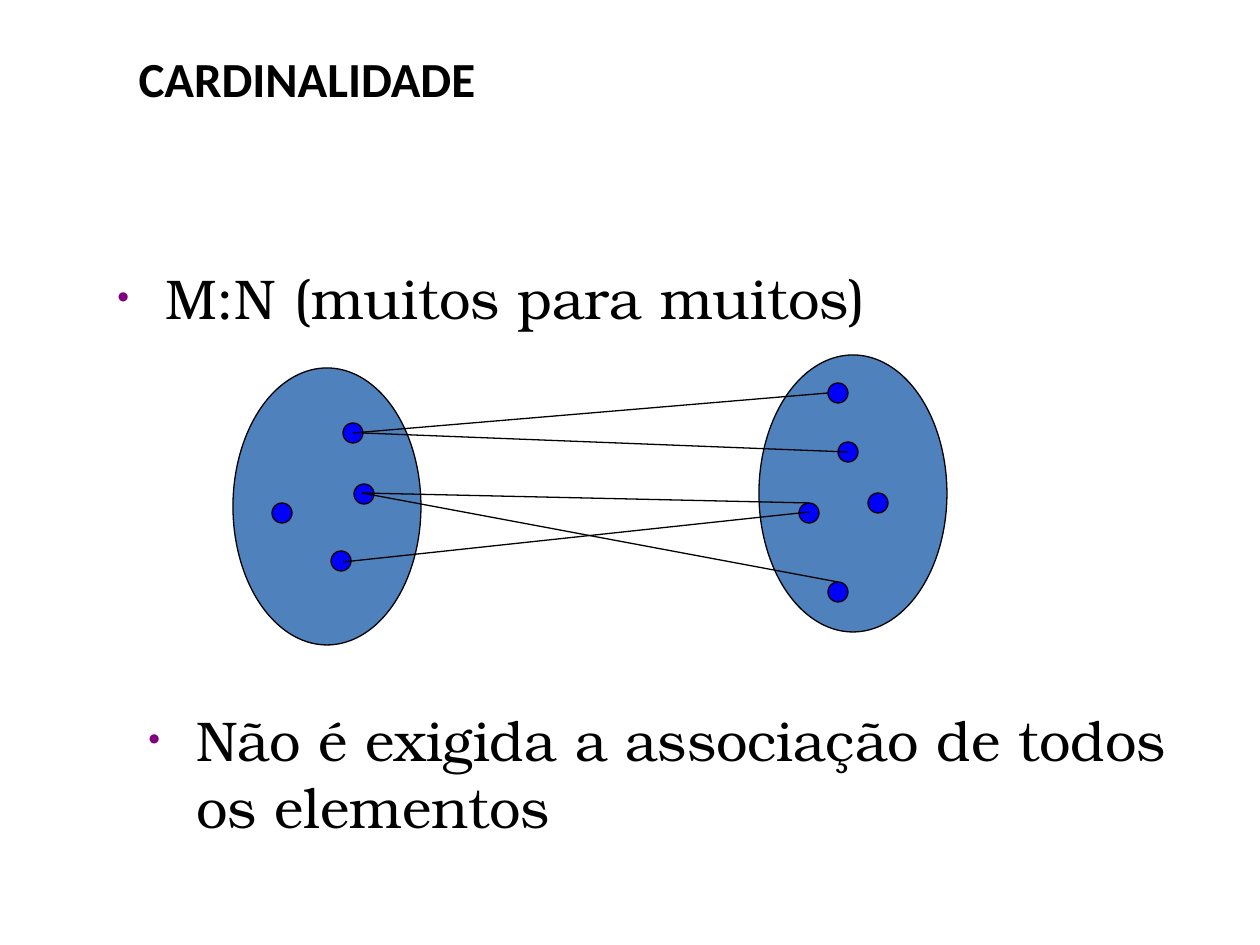
from lxml import etree
from pptx import Presentation
from pptx import util as u
from pptx.dml.color import RGBColor
from pptx.enum import shapes, text
from pptx.oxml.ns import qn

EMU_PER_PX = 914400 / 126
COLORS = {"ink": "000000", "set": "4F81BD", "element": "0000FF", "bullet": "800080"}
DOT = 20

SET_BOXES = [(233, 368, 188, 277), (759, 355, 188, 277)]
ELEMENT_CENTERS = [
    (353, 433), (364, 494), (341, 561), (282, 513),
    (848, 452), (838, 393), (809, 513), (878, 503), (838, 592),
]
ASSOCIATIONS = [
    ((353, 433), (828, 393)),
    ((343, 562), (809, 512)),
    ((362, 493), (838, 582)),
    ((362, 433), (848, 452)),
    ((809, 503), (362, 493)),
]


def px(value):
    return u.Emu(round(value * EMU_PER_PX))


def rgb(name):
    return RGBColor.from_string(COLORS[name])


def set_font(paragraph, family, size, bold=False):
    font = paragraph.font
    font.name, font.size, font.bold = family, u.Pt(size), bold
    font.color.rgb = rgb("ink")


def add_title(slide, wording, left, top, width, height):
    title = slide.shapes.title
    title.left, title.top, title.width, title.height = map(px, (left, top, width, height))
    frame = title.text_frame
    frame.text = wording
    frame.auto_size = text.MSO_AUTO_SIZE.NONE
    frame.vertical_anchor = text.MSO_ANCHOR.TOP
    paragraph = frame.paragraphs[0]
    paragraph.alignment = text.PP_ALIGN.LEFT
    set_font(paragraph, "Calibri", 28, bold=True)


def add_bullet(paragraph, indent):
    """Give the paragraph a small coloured bullet with a hanging indent."""
    properties = paragraph._p.get_or_add_pPr()
    properties.set("marL", str(px(indent)))
    properties.set("indent", str(-px(indent)))
    color = etree.Element(qn("a:buClr"))
    etree.SubElement(color, qn("a:srgbClr"), val=COLORS["bullet"])
    size = etree.Element(qn("a:buSzPct"), val="60000")
    typeface = etree.Element(qn("a:buFont"), typeface="Arial")
    mark = etree.Element(qn("a:buChar"), char="•")
    for position, part in enumerate((color, size, typeface, mark)):
        properties.insert(position, part)


def add_statement(slide, wording, left, top, width, height):
    box = slide.shapes.add_textbox(*map(px, (left, top, width, height)))
    frame = box.text_frame
    frame.word_wrap = True
    frame.text = wording
    paragraph = frame.paragraphs[0]
    set_font(paragraph, "TeX Gyre Bonum", 32)
    add_bullet(paragraph, 48)


def outline(line):
    line.color.rgb = rgb("ink")
    line.width = u.Pt(0.75)


def add_ellipse(diagram, color, left, top, width, height):
    ellipse = diagram.shapes.add_shape(
        shapes.MSO_SHAPE.OVAL, *map(px, (left, top, width, height)))
    ellipse.shadow.inherit = False
    ellipse.fill.solid()
    ellipse.fill.fore_color.rgb = rgb(color)
    outline(ellipse.line)


def add_association(diagram, start, end):
    association = diagram.shapes.add_connector(
        shapes.MSO_CONNECTOR.STRAIGHT, *map(px, start + end))
    outline(association.line)
    etree.SubElement(association._element.spPr, qn("a:effectLst"))


def add_diagram(slide):
    diagram = slide.shapes.add_group_shape()
    for box in SET_BOXES:
        add_ellipse(diagram, "set", *box)
    for x, y in ELEMENT_CENTERS:
        add_ellipse(diagram, "element", x - DOT // 2, y - DOT // 2, DOT, DOT)
    for start, end in ASSOCIATIONS:
        add_association(diagram, start, end)


def main():
    deck = Presentation()
    deck.slide_width, deck.slide_height = px(1260), px(945)
    slide = deck.slides.add_slide(deck.slide_layouts[5])
    add_title(slide, "CARDINALIDADE", 126, 42, 1134, 93)
    add_statement(slide, "M:N (muitos para muitos)", 105, 257, 1124, 89)
    add_statement(slide, "Não é exigida a associação de todos os elementos",
                  136, 699, 1092, 139)
    add_diagram(slide)
    deck.save("out.pptx")


if __name__ == "__main__":
    main()
